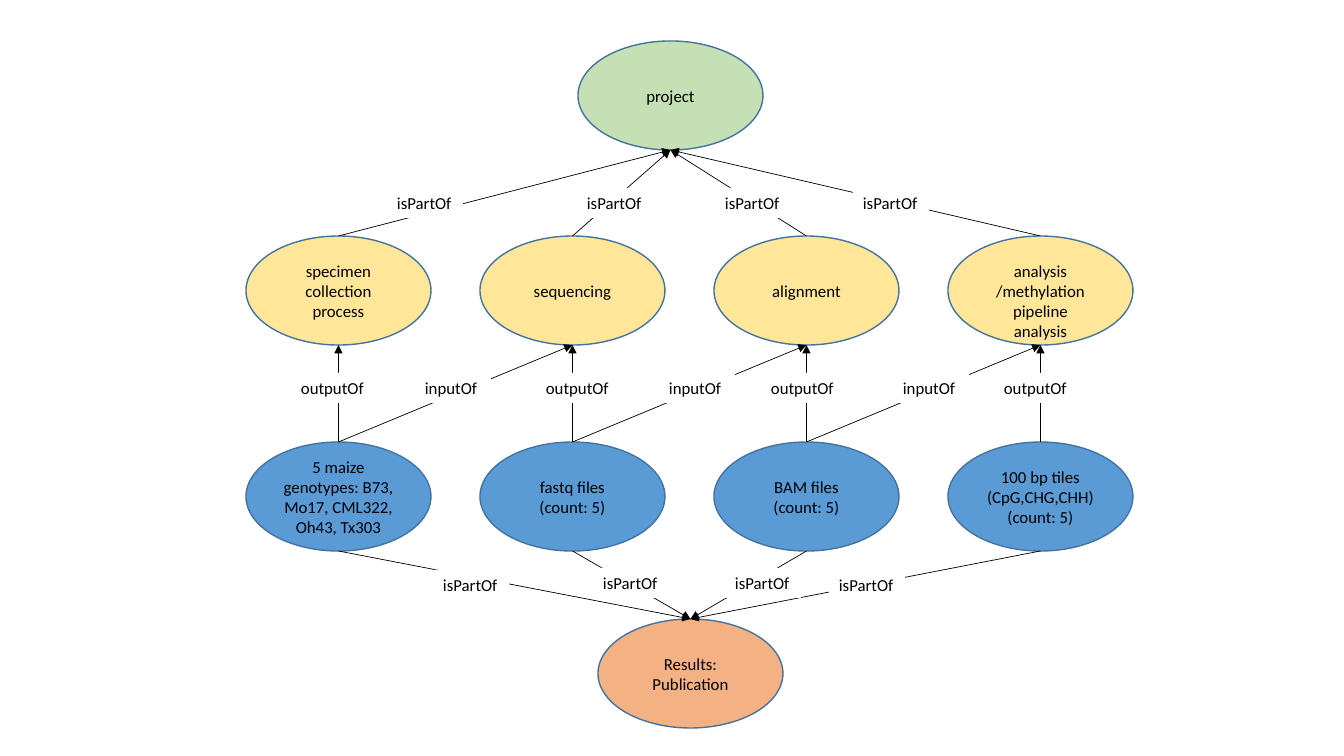
from lxml.etree import SubElement
from pptx import Presentation
from pptx.dml.color import RGBColor
from pptx.enum.shapes import MSO_CONNECTOR, MSO_SHAPE
from pptx.enum.text import MSO_ANCHOR, PP_ALIGN
from pptx.oxml.ns import qn
from pptx.util import Pt

PX = 914400 / 100.8
GREEN = RGBColor(0xC5, 0xE0, 0xB4)
YELLOW = RGBColor(0xFF, 0xE6, 0x99)
BLUE = RGBColor(0x5B, 0x9B, 0xD5)
ORANGE = RGBColor(0xF4, 0xB1, 0x83)
EDGE = RGBColor(0x43, 0x73, 0x9E)
WHITE = RGBColor(0xFF, 0xFF, 0xFF)
BLACK = RGBColor(0, 0, 0)

NODE_W, NODE_H, STEP = 185, 109, 234
STAGES = ["specimen collection process", "sequencing", "alignment",
          "analysis /methylation pipeline analysis"]
FILES = ["5 maize genotypes: B73, Mo17, CML322, Oh43, Tx303",
         "fastq files (count: 5)", "BAM files (count: 5)",
         "100 bp tiles (CpG,CHG,CHH) (count: 5)"]


def emu(*sizes):
    return [round(size * PX) for size in sizes]


def write(shape, text, align=PP_ALIGN.LEFT, anchor=MSO_ANCHOR.TOP, size=12, color=BLACK, drop=0):
    frame = shape.text_frame
    frame.word_wrap = True
    frame.vertical_anchor = anchor
    frame.margin_top = emu(5 + drop)[0]
    par = frame.paragraphs[0]
    par.alignment = align
    run = par.add_run()
    run.text = text
    run.font.name = "Calibri"
    run.font.size = Pt(size)
    run.font.color.rgb = color


def add_node(slide, text, x, y, fill, drop=0):
    node = slide.shapes.add_shape(MSO_SHAPE.OVAL, *emu(x, y, NODE_W, NODE_H))
    node.shadow.inherit = False
    node.fill.solid()
    node.fill.fore_color.rgb = fill
    node.line.color.rgb = EDGE
    node.line.width = Pt(1)
    write(node, text, align=PP_ALIGN.CENTER, anchor=MSO_ANCHOR.MIDDLE, drop=drop)
    return x + NODE_W / 2, y, y + NODE_H


def add_row(slide, texts, x, y, fill, drops=(0, 0, 0, 0)):
    return [add_node(slide, text, x + i * STEP, y, fill, drop)
            for i, (text, drop) in enumerate(zip(texts, drops))]


def add_link(slide, start, end):
    link = slide.shapes.add_connector(MSO_CONNECTOR.STRAIGHT, *emu(*start, *end))
    link.line.color.rgb = BLACK
    link.line.width = Pt(0.5)
    SubElement(link.line._get_or_add_ln(), qn("a:tailEnd"), type="triangle")
    SubElement(link._element.spPr, qn("a:effectLst"))


def link_up(slide, low, high):
    add_link(slide, (low[0], low[1]), (high[0], high[2]))


def add_tags(slide, text, spots, width=76):
    for x, y in spots:
        tag = slide.shapes.add_textbox(*emu(x, y, width, 30))
        tag.fill.solid()
        tag.fill.fore_color.rgb = WHITE
        write(tag, text)


def add_graph(slide, x, y):
    project = add_node(slide, "project", x + 332, y, GREEN)
    stages = add_row(slide, STAGES, x, y + 195, YELLOW, (0, 0, 0, 20))
    files = add_row(slide, FILES, x, y + 401, BLUE)
    result = add_node(slide, "Results: Publication", x + 352, y + 578, ORANGE)
    for stage, file in zip(stages, files):
        link_up(slide, stage, project)
        link_up(slide, file, stage)
        add_link(slide, (file[0], file[2]), (result[0], result[1]))
    for file, stage in zip(files, stages[1:]):
        link_up(slide, file, stage)
    parts = [(141, 147), (331, 147), (469, 147), (607, 147),
             (187, 529), (347, 527), (479, 527), (583, 529)]
    add_tags(slide, "isPartOf", [(x + dx, y + dy) for dx, dy in parts])
    add_tags(slide, "outputOf", [(x + dx, y + 332) for dx in (45, 290, 515, 748)], width=93)
    add_tags(slide, "inputOf", [(x + dx, y + 332) for dx in (169, 413, 647)])


deck = Presentation()
deck.slide_width, deck.slide_height = emu(1344, 756)
page = deck.slides.add_slide(deck.slide_layouts[6])
add_graph(page, 246, 41)
deck.save("out.pptx")
